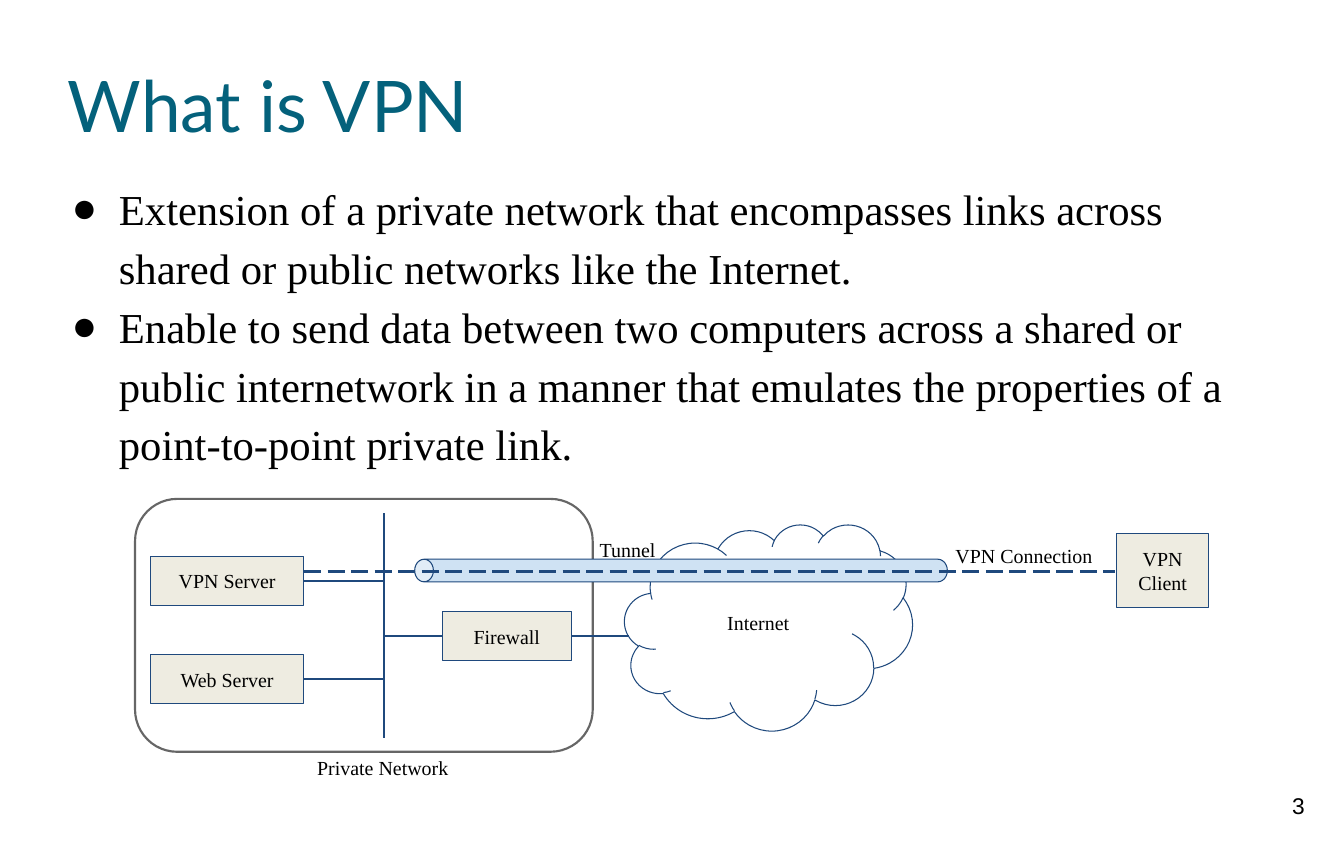
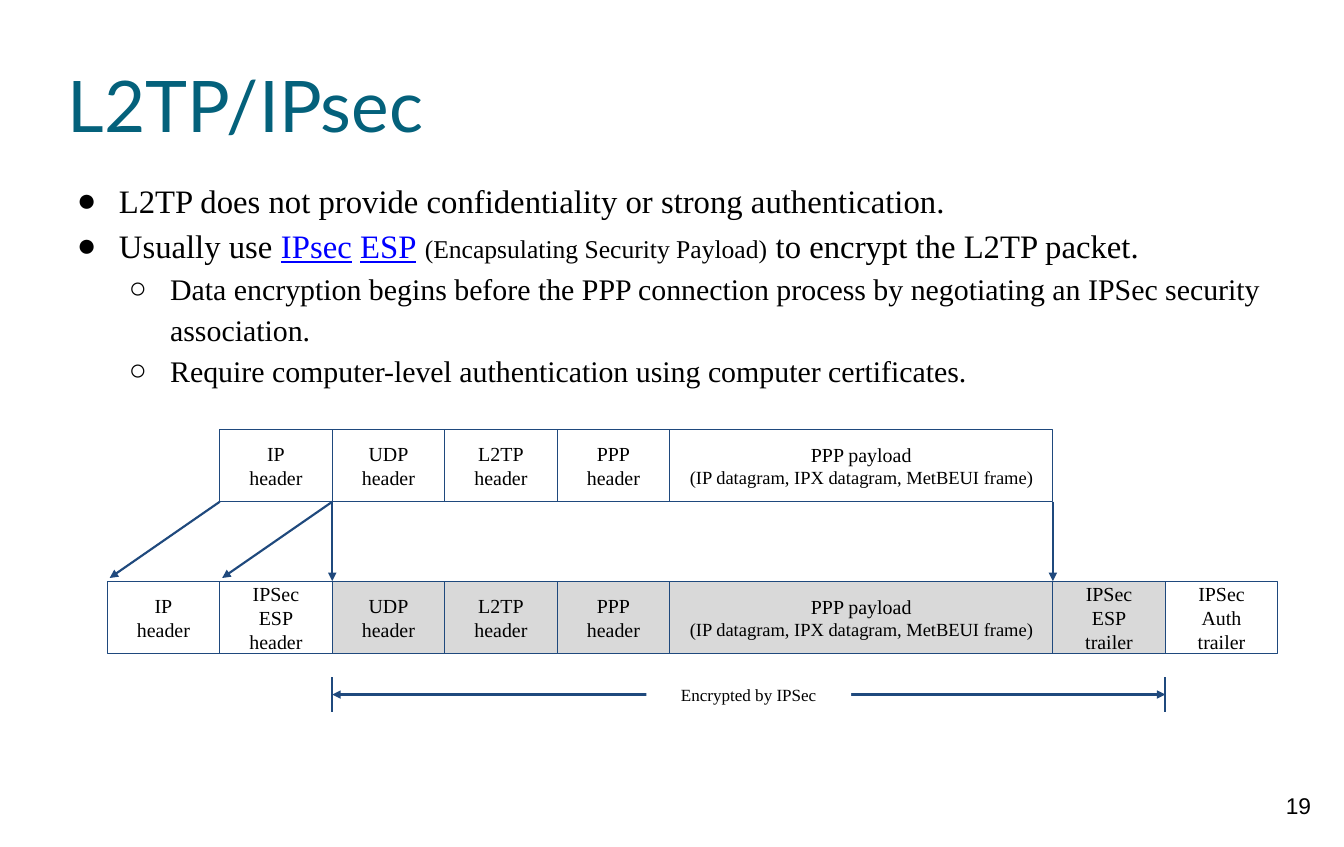
from lxml.etree import SubElement
from pptx import Presentation
from pptx.dml.color import RGBColor
from pptx.enum.dml import MSO_LINE
from pptx.enum.shapes import MSO_CONNECTOR, MSO_SHAPE
from pptx.enum.text import MSO_ANCHOR, PP_ALIGN
from pptx.oxml.ns import qn
from pptx.util import Cm, Pt

# Shared colours
TEAL = RGBColor(0x04, 0x61, 0x7B)
NAVY = RGBColor(0x1F, 0x49, 0x7D)
BLACK = RGBColor(0, 0, 0)
WHITE = RGBColor(0xFF, 0xFF, 0xFF)
GRAY = RGBColor(0x66, 0x66, 0x66)
SILVER = RGBColor(0xD9, 0xD9, 0xD9)
BEIGE = RGBColor(0xEE, 0xEC, 0xE1)
PALE_BLUE = RGBColor(0xCF, 0xE2, 0xF3)
LINK_BLUE = RGBColor(0, 0, 0xFF)

# Shared text formats
TITLE = {"name": "Lato", "size": Pt(50), "color": TEAL}
NUMBER = {"name": "Arial", "size": Pt(16), "color": BLACK}
LABEL = {"name": "Times New Roman", "size": Pt(14), "color": BLACK}
LINKED = {"color": LINK_BLUE, "underline": True}
INSET = 0.25


def add_run(paragraph, text, text_format):
    run = paragraph.add_run()
    run.text = text
    for key, value in text_format.items():
        if key == "color":
            run.font.color.rgb = value
        else:
            setattr(run.font, key, value)


def write_lines(shape, lines, text_format, align=PP_ALIGN.CENTER,
                anchor=MSO_ANCHOR.MIDDLE, inset=INSET):
    """Each line is a string or a list of (text, format changes) runs."""
    frame = shape.text_frame
    frame_format = {"word_wrap": True, "vertical_anchor": anchor}
    for side in ("left", "top", "right", "bottom"):
        frame_format["margin_" + side] = Cm(inset)
    for key, value in frame_format.items():
        setattr(frame, key, value)
    for index, line in enumerate(lines):
        paragraph = frame.add_paragraph() if index else frame.paragraphs[0]
        paragraph.alignment = align
        for text, changes in [(line, {})] if isinstance(line, str) else line:
            add_run(paragraph, text, text_format | changes)
    return frame


def add_text(slide, left, top, width, height, lines, text_format=LABEL, **layout):
    box = slide.shapes.add_textbox(Cm(left), Cm(top), Cm(width), Cm(height))
    return write_lines(box, lines, text_format, **layout)


def add_label(slide, left, top, text):
    add_text(slide, left, top, 4.57, 1.12, [text], anchor=MSO_ANCHOR.TOP)


def add_box(slide, left, top, width, height, lines=(), fill=None,
            kind=MSO_SHAPE.RECTANGLE, line=NAVY, weight=0.75):
    shape = slide.shapes.add_shape(kind, Cm(left), Cm(top), Cm(width), Cm(height))
    shape.shadow.inherit = False
    if fill is None:
        shape.fill.background()
    else:
        shape.fill.solid()
        shape.fill.fore_color.rgb = fill
    shape.line.color.rgb = line
    shape.line.width = Pt(weight)
    write_lines(shape, lines, LABEL)
    return shape


def add_line(slide, start, end, dash=None, arrows=()):
    """arrows names the line ends with a triangle: headEnd, tailEnd."""
    connector = slide.shapes.add_connector(
        MSO_CONNECTOR.STRAIGHT, *(Cm(value) for value in (*start, *end)))
    connector.line.color.rgb = NAVY
    connector.line.width = Pt(1.5)
    if dash:
        connector.line.dash_style = dash
    for arrow in arrows:
        SubElement(connector.line._get_or_add_ln(), qn("a:" + arrow), type="triangle")
    SubElement(connector._element.spPr, qn("a:effectLst"))


def add_bullets(slide, items):
    """Each item is (content, size, bullet, left margin, hanging indent)."""
    height = 7.2 if len(items) == 2 else 5.23
    frame = add_text(slide, 1.68, 4.34, 30.07, height, [], inset=0,
                     anchor=MSO_ANCHOR.TOP)
    for index, (content, size, bullet, margin, hanging) in enumerate(items):
        paragraph = frame.add_paragraph() if index else frame.paragraphs[0]
        properties = paragraph._p.get_or_add_pPr()
        properties.set("marL", str(Cm(margin)))
        properties.set("indent", str(-Cm(hanging)))
        color = SubElement(properties, qn("a:buClr"))
        SubElement(color, qn("a:srgbClr"), val=str(BLACK))
        SubElement(properties, qn("a:buFont"), typeface=LABEL["name"])
        SubElement(properties, qn("a:buChar"), char=bullet)
        paragraph.line_spacing = 1.15
        for text, changes in [(content, {})] if isinstance(content, str) else content:
            add_run(paragraph, text, LABEL | {"size": Pt(size)} | changes)


def add_content_slide(presentation, title, number, bullets):
    slide = presentation.slides.add_slide(presentation.slide_layouts[6])
    add_text(slide, 31.2, 19.38, 2, 1.6, [number], NUMBER, anchor=MSO_ANCHOR.TOP)
    add_text(slide, 1.68, 0.84, 30, 3.5, [title], TITLE,
             align=PP_ALIGN.LEFT, inset=0)
    add_bullets(slide, bullets)
    return slide


def draw_vpn_network(slide):
    bus, server_right = 9.52, 7.54
    # Private network with its servers and firewall
    add_box(slide, 3.35, 12.37, 11.35, 6.27, kind=MSO_SHAPE.ROUNDED_RECTANGLE,
            line=GRAY, weight=1.5)
    add_line(slide, (bus, 12.73), (bus, 18.29))
    for name, top in (("VPN Server", 13.79), ("Web Server", 16.23)):
        add_box(slide, 3.73, top, 3.81, 1.22, [name], BEIGE)
        add_line(slide, (server_right, top + 0.61), (bus, top + 0.61))
    add_box(slide, 10.97, 15.16, 3.2, 1.22, ["Firewall"], BEIGE)
    # Internet and client
    add_box(slide, 15.49, 13, 7.14, 5.11, ["Internet"], WHITE, MSO_SHAPE.CLOUD)
    add_box(slide, 27.69, 13.23, 2.29, 1.83, ["VPN Client"], BEIGE)
    for left, right in ((bus, 10.97), (14.17, 15.6)):
        add_line(slide, (left, 15.77), (right, 15.77))
    # Tunnel and the connection through it
    tunnel = add_box(slide, 16.61, 7.54, 0.56, 13.21, fill=PALE_BLUE,
                     kind=MSO_SHAPE.CAN)
    tunnel.adjustments[0] = 0.83
    tunnel.rotation = 270
    add_line(slide, (server_right, 14.17), (27.64, 14.17), MSO_LINE.LONG_DASH)
    add_label(slide, 13.28, 13.08, "Tunnel")
    add_label(slide, 23.11, 13.23, "VPN Connection")
    add_label(slide, 7.21, 18.49, "Private Network")


def draw_packets(slide):
    first, cell, payload, height = 2.66, 2.79, 9.5, 1.79
    upper, lower = 10.65, 14.41
    inner = [
        ["UDP", "header"], ["L2TP", "header"], ["PPP", "header"],
        ["PPP payload",
         [("(IP datagram, IPX datagram, MetBEUI frame)", {"size": Pt(13)})]],
    ]
    ip_header, esp_trailer = ["IP", "header"], ["IPSec", "ESP", "trailer"]
    encrypted = inner + [esp_trailer]
    rows = (
        (first + cell, upper, [ip_header] + inner),
        (first, lower, [ip_header, ["IPSec", "ESP", "header"]] + encrypted
         + [["IPSec", "Auth", "trailer"]]),
    )
    # Packet before and after encryption
    for left, top, fields in rows:
        for lines in fields:
            width = payload if lines == inner[-1] else cell
            shaded = top == lower and lines in encrypted
            add_box(slide, left, top, width, height, lines, SILVER if shaded else None)
            left += width
    # Arrows between the packets
    second, start = first + cell, first + 2 * cell
    payload_end = start + 3 * cell + payload
    bottom = upper + height
    for x in (start, payload_end):
        add_line(slide, (x, bottom), (x, lower), arrows=["tailEnd"])
    for x in (start, second):
        add_line(slide, (x, bottom), (x - cell + 0.06, lower - 0.08),
                 arrows=["tailEnd"])
    # Extent of the encryption
    end = payload_end + cell
    for x in (start, end):
        add_line(slide, (x, 16.79), (x, 17.65))
    add_line(slide, (start, 17.22), (end, 17.22), arrows=["headEnd", "tailEnd"])
    caption = add_box(slide, 16.03, 16.71, 5.08, 1.02, fill=WHITE)
    caption.line.fill.background()
    write_lines(caption, ["Encrypted by IPSec"], LABEL | {"size": Pt(12)},
                anchor=MSO_ANCHOR.TOP)


def main():
    presentation = Presentation()
    presentation.slide_width = Cm(33.33)
    presentation.slide_height = Cm(21)

    large = (30, "●", 1.27, 1.17)
    medium = (23, "●", 1.27, 1.04)
    nested = (21, "○", 2.54, 1.02)

    draw_vpn_network(add_content_slide(presentation, "What is VPN", "3", [
        ("Extension of a private network that encompasses links across shared "
         "or public networks like the Internet.", *large),
        ("Enable to send data between two computers across a shared or public "
         "internetwork in a manner that emulates the properties of a "
         "point-to-point private link.", *large),
    ]))
    draw_packets(add_content_slide(presentation, "L2TP/IPsec", "19", [
        ("L2TP does not provide confidentiality or strong authentication.", *medium),
        ([("Usually use ", {}), ("IPsec", LINKED), (" ", {}), ("ESP", LINKED),
          (" ", {}), ("(Encapsulating Security Payload)", {"size": Pt(18)}),
          (" to encrypt the L2TP packet.", {})], *medium),
        ("Data encryption begins before the PPP connection process by "
         "negotiating an IPSec security association.", *nested),
        ("Require computer-level authentication using computer certificates.",
         *nested),
    ]))
    presentation.save("out.pptx")


if __name__ == "__main__":
    main()
